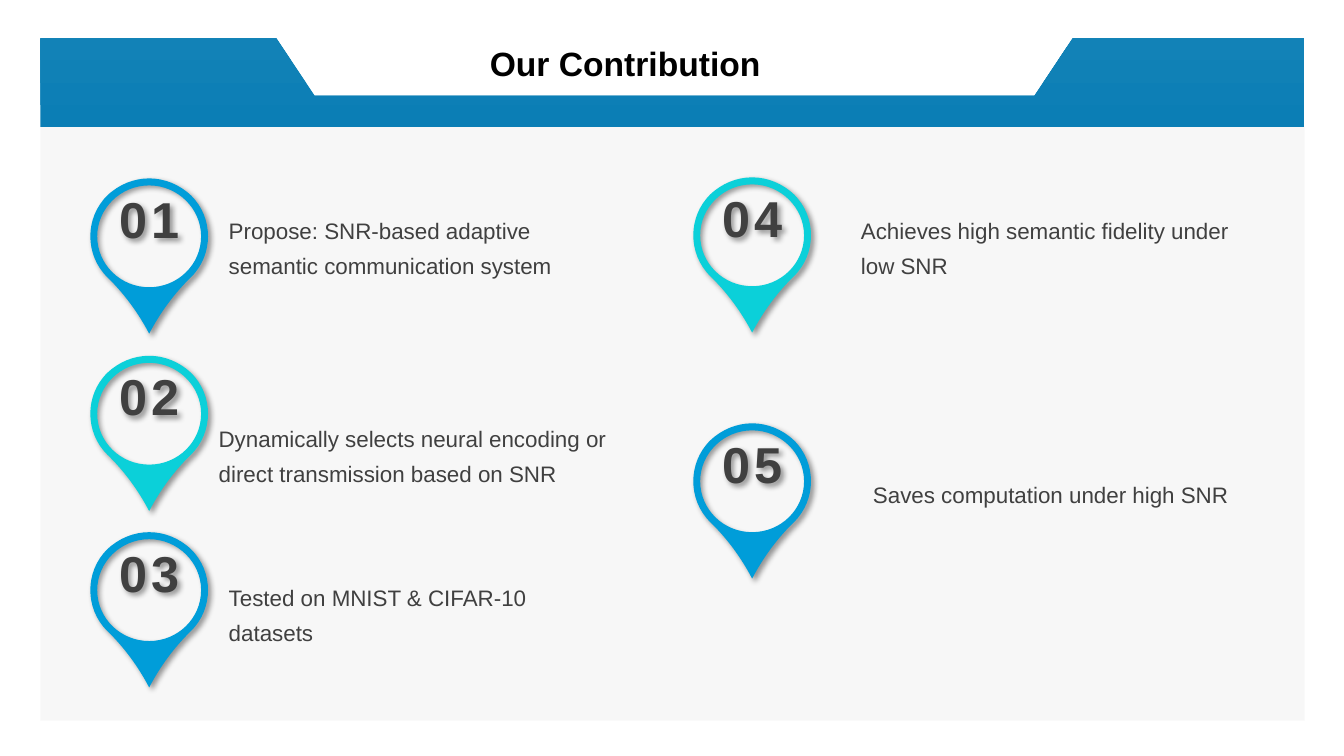
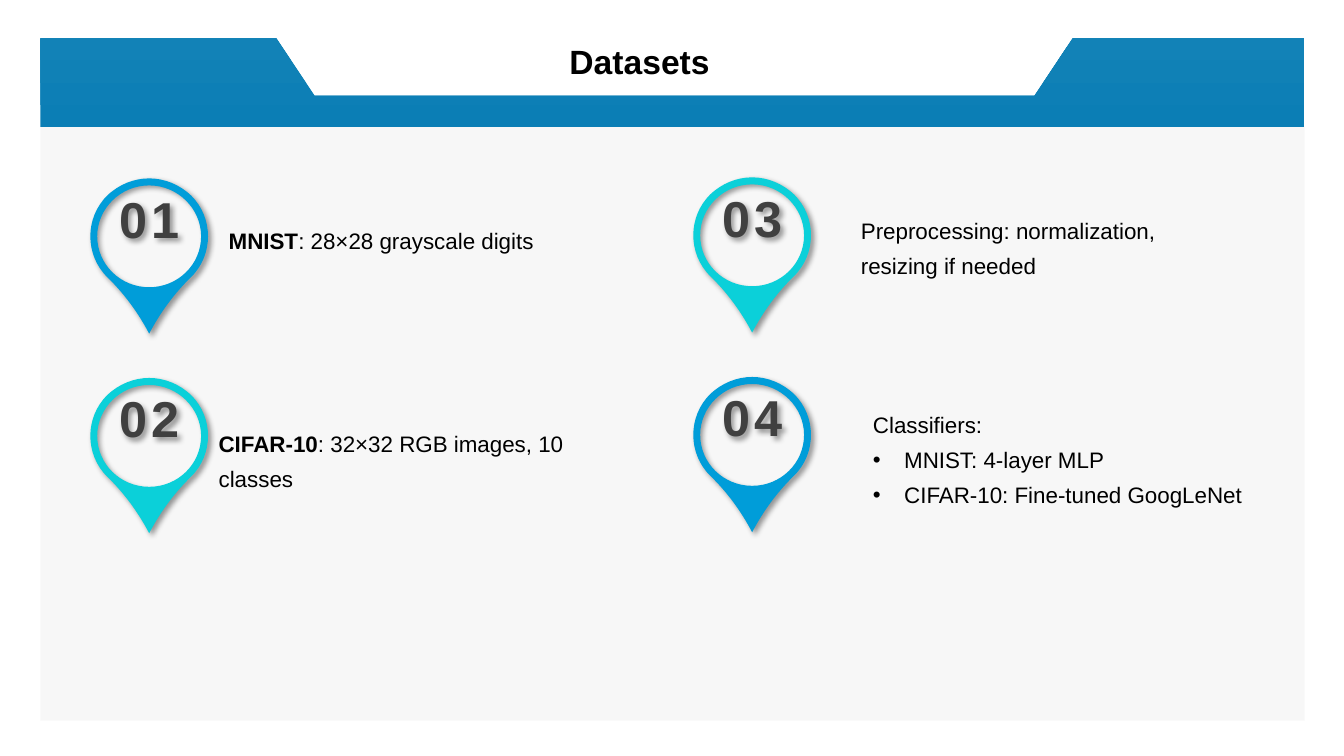
from dataclasses import dataclass

import lxml.etree
import pptx
import pptx.dml.color
import pptx.enum.shapes
import pptx.enum.text
import pptx.oxml.ns
import pptx.util

PX = 9144  # EMU per px, 100 px to the inch
SLIDE_WIDTH, SLIDE_HEIGHT = 1333, 750
LEFT_PIN, RIGHT_PIN = 148, 746  # centres of the two pin columns

# Pin geometry, measured from its top centre
PIN_HALF, PIN_HEIGHT = 58.5, 154
# Half contours: a start, then cubic curves as two handles and an end
HOLE_HALF = [(0, 7), (-28.5, 7), (-51.5, 30), (-51.5, 57.5),
             (-51.5, 85.5), (-28.5, 108), (0, 108)]
OUTER_HALF = [(0, 0), (15, 0), (30, 6), (41.5, 17), (64, 39), (64, 76), (41.5, 98),
              (25, 114), (11, 133), (0, 154)]


@dataclass(frozen=True)
class Theme:
    font: str = "Arial"
    panel: str = "F2F2F2"
    panel_opacity: int = 54
    band_bottom: str = "0B7EB5"
    band_top: str = "1282B7"
    blue: str = "009DD9"
    teal: str = "0BD0D9"
    grey: str = "404040"
    black: str = "000000"
    title_size: int = 24
    number_size: int = 36
    body_size: int = 16
    body_spacing: float = 1.3


THEME = Theme()


def rgb(value):
    return pptx.dml.color.RGBColor.from_string(value)


def add_element(parent, tag, **attributes):
    element = lxml.etree.SubElement(parent, pptx.oxml.ns.qn(tag))
    for name, value in attributes.items():
        element.set(name, str(value))
    return element


def mirrored(half):
    """Close a half contour with its mirror image."""
    return half + [(-x, y) for x, y in reversed(half[:-1])]


def add_curves(path, points):
    """Add a closed contour of cubic curves to a pin's path."""
    def add_point(parent, x, y):
        add_element(parent, "a:pt", x=round((x + PIN_HALF) * PX), y=round(y * PX))

    add_point(add_element(path, "a:moveTo"), *points[0])
    for index in range(1, len(points), 3):
        curve = add_element(path, "a:cubicBezTo")
        for x, y in points[index:index + 3]:
            add_point(curve, x, y)
    add_element(path, "a:close")


class Deck:
    def __init__(self, theme):
        self.theme = theme
        self.presentation = pptx.Presentation()
        self.presentation.slide_width = SLIDE_WIDTH * PX
        self.presentation.slide_height = SLIDE_HEIGHT * PX
        self.slide = None

    def add_slide(self, title, left, top, width):
        self.slide = self.presentation.slides.add_slide(self.presentation.slide_layouts[6])
        self.panel()
        self.band()
        frame = self.text_box(left, top, width, 50)
        frame.text = title
        paragraph = frame.paragraphs[0]
        paragraph.alignment = pptx.enum.text.PP_ALIGN.JUSTIFY
        self.style(paragraph.runs[0], self.theme.title_size, self.theme.black, True)

    def style(self, run, size, colour, bold=False):
        run.font.name = self.theme.font
        run.font.size = pptx.util.Pt(size)
        run.font.color.rgb = rgb(colour)
        run.font.bold = bold

    def panel(self):
        shape = self.slide.shapes.add_shape(
            pptx.enum.shapes.MSO_SHAPE.RECTANGLE, 40 * PX, 126 * PX, 1254 * PX, 589 * PX)
        shape.fill.solid()
        shape.fill.fore_color.rgb = rgb(self.theme.panel)
        colour = shape.element.spPr.find(".//" + pptx.oxml.ns.qn("a:srgbClr"))
        add_element(colour, "a:alpha", val=self.theme.panel_opacity * 1000)
        shape.line.fill.background()
        shape.shadow.inherit = False

    def outline(self, points, left=0, top=0):
        corners = [(round(x * PX), round(y * PX)) for x, y in points]
        builder = self.slide.shapes.build_freeform(*corners[0], scale=1.0)
        builder.add_line_segments(corners[1:], close=True)
        shape = builder.convert_to_shape(left * PX, top * PX)
        shape.line.fill.background()
        shape.shadow.inherit = False
        return shape

    def band(self):
        shape = self.outline([(40, 38), (274, 38), (312, 95), (1026, 95), (1064, 38),
                              (1294, 38), (1294, 126), (40, 126)])
        shape.fill.gradient()
        shape.fill.gradient_angle = 90
        colours = (self.theme.band_bottom, self.theme.band_top)
        for stop, colour in zip(shape.fill.gradient_stops, colours):
            stop.color.rgb = rgb(colour)

    def pin(self, number, colour, centre, top):
        shape = self.outline([(-PIN_HALF, 0), (PIN_HALF, 0), (PIN_HALF, PIN_HEIGHT),
                              (-PIN_HALF, PIN_HEIGHT)], centre, top)
        # Curves take the place of the straight frame
        path = shape.element.spPr.find(".//" + pptx.oxml.ns.qn("a:path"))
        for segment in list(path):
            path.remove(segment)
        for half in (HOLE_HALF, OUTER_HALF):
            add_curves(path, mirrored(half))
        shape.fill.solid()
        shape.fill.fore_color.rgb = rgb(colour)
        # Soft shadow to the lower right
        effects = shape.element.spPr.find(pptx.oxml.ns.qn("a:effectLst"))
        shadow = add_element(effects, "a:outerShdw", blurRad=pptx.util.Pt(4),
                             dist=pptx.util.Pt(3), dir=45 * 60000, algn="tl", rotWithShape=0)
        shade = add_element(shadow, "a:srgbClr", val=self.theme.black)
        add_element(shade, "a:alpha", val=40000)
        # Number inside the ring
        frame = shape.text_frame
        frame.margin_left = frame.margin_top = frame.margin_right = 0
        frame.margin_bottom = 75 * PX
        frame.vertical_anchor = pptx.enum.text.MSO_ANCHOR.MIDDLE
        frame.text = number
        paragraph = frame.paragraphs[0]
        paragraph.alignment = pptx.enum.text.PP_ALIGN.CENTER
        run = paragraph.runs[0]
        self.style(run, self.theme.number_size, self.theme.grey, True)
        run.font._element.set("spc", "300")

    def text_box(self, left, top, width, height):
        box = self.slide.shapes.add_textbox(left * PX, top * PX, width * PX, height * PX)
        frame = box.text_frame
        frame.word_wrap = True
        frame.auto_size = pptx.enum.text.MSO_AUTO_SIZE.SHAPE_TO_FIT_TEXT
        return frame

    def label(self, text, left, top, colour, width=388, height=76, lead="", bullets=()):
        frame = self.text_box(left, top, width, height)
        frame.text = "\n".join([lead or text, *bullets])
        if lead:
            frame.paragraphs[0].add_run().text = text
        for index, paragraph in enumerate(frame.paragraphs):
            paragraph.line_spacing = self.theme.body_spacing
            if index:
                properties = paragraph._p.get_or_add_pPr()
                properties.set("marL", str(31 * PX))
                properties.set("indent", str(-31 * PX))
                add_element(properties, "a:buFont", typeface=self.theme.font)
                add_element(properties, "a:buChar", char="•")
            for run in paragraph.runs:
                self.style(run, self.theme.body_size, colour, bool(lead) and run.text == lead)


def contribution_slide(deck):
    theme = deck.theme
    deck.add_slide("Our Contribution", 476, 38, 381)
    # Left column
    deck.pin("01", theme.blue, LEFT_PIN, 177)
    deck.label("Propose: SNR-based adaptive semantic communication system", 217, 203, theme.grey)
    deck.pin("02", theme.teal, LEFT_PIN, 353)
    deck.label("Dynamically selects neural encoding or direct transmission based on SNR",
               207, 409, theme.grey, width=439)
    deck.pin("03", theme.blue, LEFT_PIN, 528)
    deck.label("Tested on MNIST & CIFAR-10 datasets", 217, 567, theme.grey)
    # Right column
    deck.pin("04", theme.teal, RIGHT_PIN, 176)
    deck.label("Achieves high semantic fidelity under low SNR", 844, 203, theme.grey)
    deck.pin("05", theme.blue, RIGHT_PIN, 420)
    deck.label("Saves computation under high SNR", 856, 464, theme.grey, height=41)


def datasets_slide(deck):
    theme = deck.theme
    deck.add_slide("Datasets", 555, 36, 223)
    # Left column
    deck.pin("01", theme.blue, LEFT_PIN, 177)
    deck.label(": 28×28 grayscale digits", 217, 212, theme.black, height=42, lead="MNIST")
    deck.pin("02", theme.teal, LEFT_PIN, 375)
    deck.label(": 32×32 RGB images, 10 classes", 207, 414, theme.black, width=439, lead="CIFAR-10")
    # Right column
    deck.pin("03", theme.teal, RIGHT_PIN, 176)
    deck.label("Preprocessing: normalization, resizing if needed", 844, 203, theme.black)
    deck.pin("04", theme.blue, RIGHT_PIN, 374)
    deck.label("Classifiers:", 856, 395, theme.black, height=111,
               bullets=("MNIST: 4-layer MLP", "CIFAR-10: Fine-tuned GoogLeNet"))


def main():
    deck = Deck(THEME)
    contribution_slide(deck)
    datasets_slide(deck)
    deck.presentation.save("out.pptx")


if __name__ == "__main__":
    main()
